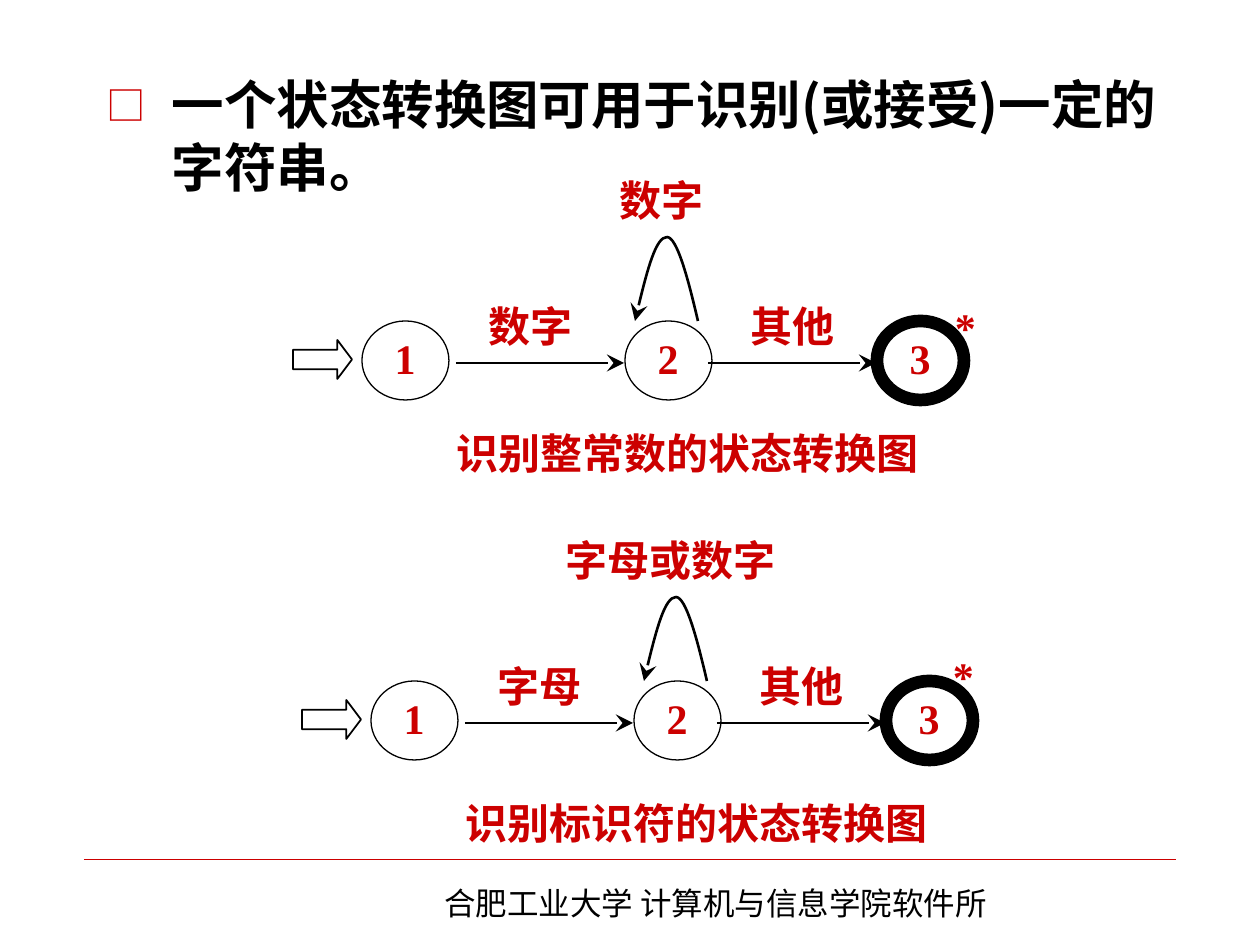
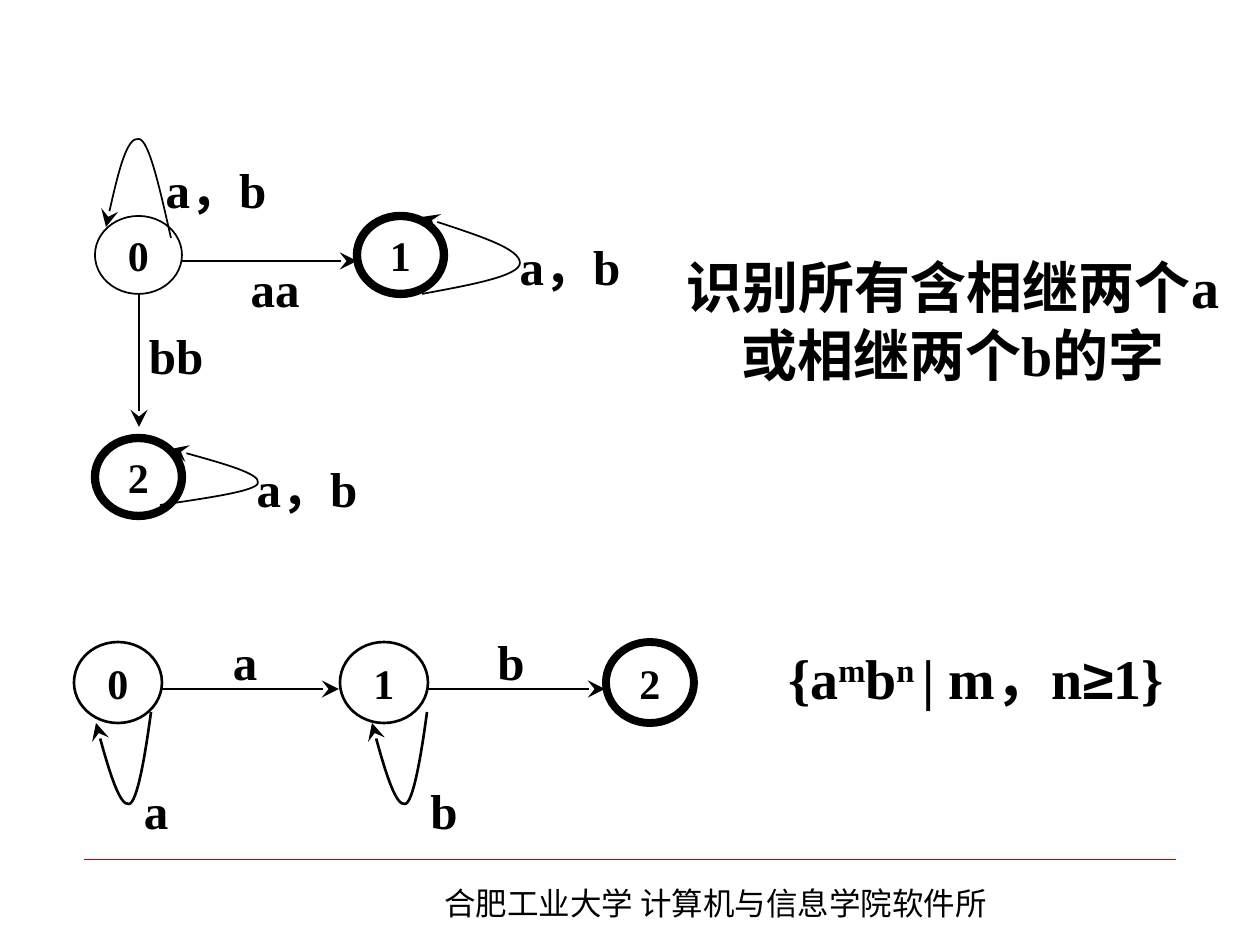
from lxml.etree import SubElement
from pptx import Presentation
from pptx.dml.color import RGBColor
from pptx.enum.shapes import MSO_CONNECTOR, MSO_SHAPE
from pptx.enum.text import MSO_ANCHOR as ANCHOR, MSO_AUTO_SIZE, PP_ALIGN as ALIGN
from pptx.oxml.ns import qn
from pptx.util import Emu, Pt

RED = RGBColor(0xCC, 0x00, 0x00)
BLACK = RGBColor(0x00, 0x00, 0x00)
SERIF = "Times New Roman"
CJK = "Noto Sans CJK SC"
SANS = "Arial"
EMU_PER_PX = 914400 / 126

FOOTER = "合肥工业大学 计算机与信息学院软件所"
FOOTER_BOX = (432, 878, 595, 50)
FOOTER_RULE = (84, 859, 1176, 859)

HEADING = "一个状态转换图可用于识别(或接受)一定的字符串。"
HEADING_BOX = (94, 66, 1112, 157)

RECOGNIZERS = [
    {"origin": (362, 321), "step": "数字", "loop": "数字", "caption_top": 95,
     "star": (567, -21),
     "caption": [("识别", SERIF), ("整常数", CJK), ("的状态转换图", SERIF)]},
    {"origin": (371, 681), "step": "字母", "loop": "字母或数字", "caption_top": 105,
     "star": (556, -32),
     "caption": [("识别标识符的状态转换图", SERIF)]},
]
RECOGNIZER_STATES = [("1", 0, 0.75), ("2", 263, 0.75), ("3", 515, 7.25)]
RECOGNIZER_LOOP = [(336, 0), (326, -43), (315, -84), (305, -84),
                   (294, -84), (283, -43), (273, 0)]

PAIR_LOOP_BOTTOM = [(151, 712), (145, 757), (137, 803), (129, 804),
                    (120, 806), (107, 765), (96, 723)]
AUTOMATA = [
    {"state_size": (87, 78), "label_size": (130, 78), "weight": 1,
     "states": [("0", 95, 216, 1), ("2", 95, 438, 4.75), ("1", 357, 216, 4.75)],
     "labels": [("a，b", 151, 150), ("aa", 210, 249), ("a，b", 505, 227),
                ("bb", 111, 316), ("a，b", 242, 449)],
     "arrows": [(181, 261, 357, 261), (139, 294, 139, 427)],
     "loops": [
         [(171, 238), (160, 189), (149, 140), (139, 139),
          (127, 136), (116, 181), (106, 227)],
         [(160, 505), (208, 498), (257, 491), (258, 483),
          (261, 474), (215, 461), (171, 449)],
         [(422, 294), (471, 285), (520, 276), (520, 263),
          (520, 249), (471, 233), (422, 217)]]},
    {"state_size": (88, 81), "label_size": (122, 81), "weight": 1.5,
     "states": [(str(i), 74 + 266 * i, 642, weight)
                for i, weight in enumerate((1.5, 1.5, 4.5))],
     "labels": [("a", 184, 620), ("b", 450, 620), ("a", 95, 769), ("b", 383, 769)],
     "arrows": [(161 + 266 * i, 689, 339 + 266 * i, 689) for i in range(2)],
     "loops": [[(x + shift, y) for x, y in PAIR_LOOP_BOTTOM] for shift in (0, 276)]},
]
DOUBLE_LETTER_BOX = (669, 252, 568, 136)
DOUBLE_LETTER_TEXT = [
    [("识别所有含相继两个", CJK), ("a", SERIF)],
    [("或相继两个", CJK), ("b", SERIF), ("的字", CJK)],
]
LANGUAGE_BOX = (745, 609, 462, 136)
LANGUAGE_TEXT = [[("{a", SERIF), ("m", SERIF, 30), ("b", SERIF), ("n ", SERIF, 30),
                  ("| m，n", SERIF), ("≥", SANS), ("1}", SERIF)]]


def px(*lengths):
    return [Emu(round(length * EMU_PER_PX)) for length in lengths]


def add_run(paragraph, text, font_name, size, color, bold=True, raised=0):
    run = paragraph.add_run()
    run.text = text
    font = run.font
    font.name, font.size, font.bold = font_name, Pt(size), bold
    font.color.rgb = color
    properties = run._r.get_or_add_rPr()
    SubElement(properties, qn("a:ea")).set("typeface", CJK)
    if raised:
        properties.set("baseline", str(raised * 1000))


def fill_text(shape, lines, size, color, align=ALIGN.CENTER, leading=None):
    frame = shape.text_frame
    frame.word_wrap = False
    frame.vertical_anchor = ANCHOR.MIDDLE
    frame.margin_left = frame.margin_right = 0
    frame.margin_top, frame.margin_bottom = px(6, 6)
    for index, runs in enumerate(lines):
        paragraph = frame.add_paragraph() if index else frame.paragraphs[0]
        paragraph.alignment = align
        if leading:
            paragraph.line_spacing = Pt(leading)
        for text, font_name, *raised in runs:
            add_run(paragraph, text, font_name, size, color, raised=sum(raised))


def add_label(slide, box, lines, size, color, leading=None):
    fill_text(slide.shapes.add_textbox(*px(*box)), lines, size, color, leading=leading)


def outline(shape, weight):
    shape.fill.background()
    shape.line.color.rgb = BLACK
    shape.line.width = Pt(weight)
    shape.shadow.inherit = False


def add_arrowhead(shape):
    head = SubElement(shape.line._get_or_add_ln(), qn("a:tailEnd"))
    for name, value in (("type", "stealth"), ("w", "lg"), ("len", "lg")):
        head.set(name, value)


def add_line(slide, ends, color, weight, arrow=True):
    line = slide.shapes.add_connector(MSO_CONNECTOR.STRAIGHT, *px(*ends))
    line.line.color.rgb = color
    line.line.width = Pt(weight)
    if arrow:
        add_arrowhead(line)
    SubElement(line._element.spPr, qn("a:effectLst"))


def add_loop(slide, points, weight):
    builder = slide.shapes.build_freeform(*points[0], scale=EMU_PER_PX)
    builder.add_line_segments(points[1:], close=False)
    loop = builder.convert_to_shape()
    segments = list(loop._element.iter(qn("a:lnTo")))
    outline_element = segments[0].getparent()
    for start in range(0, len(segments), 3):
        curve = SubElement(outline_element, qn("a:cubicBezTo"))
        for segment in segments[start:start + 3]:
            curve.append(segment[0])
            outline_element.remove(segment)
    outline(loop, weight)
    add_arrowhead(loop)


def add_state(slide, box, name, weight, color, align=ALIGN.CENTER):
    state = slide.shapes.add_shape(MSO_SHAPE.OVAL, *px(*box))
    outline(state, weight)
    fill_text(state, [[(name, SERIF)]], 24, color, align)
    return state


def add_footer(slide):
    add_line(slide, FOOTER_RULE, RED, 0.25, arrow=False)
    frame = slide.shapes.add_textbox(*px(*FOOTER_BOX)).text_frame
    frame.word_wrap = True
    paragraph = frame.paragraphs[0]
    paragraph.space_before = Pt(11.2)
    add_run(paragraph, FOOTER, CJK, 18, BLACK, bold=False)


def add_heading(slide):
    body = slide.placeholders[1]
    body.left, body.top, body.width, body.height = px(*HEADING_BOX)
    body.text_frame.auto_size = MSO_AUTO_SIZE.NONE
    paragraph = body.text_frame.paragraphs[0]
    paragraph.space_before = Pt(7.5)
    paragraph.line_spacing = Pt(36)
    properties = paragraph._p.get_or_add_pPr()
    indent = px(65)[0]
    properties.set("marL", str(indent))
    properties.set("indent", str(-indent))
    bullet_color = SubElement(properties, qn("a:buClr"))
    SubElement(bullet_color, qn("a:srgbClr")).set("val", str(RED))
    SubElement(properties, qn("a:buSzPct")).set("val", "75000")
    SubElement(properties, qn("a:buFont")).set("typeface", CJK)
    SubElement(properties, qn("a:buChar")).set("char", "□")
    add_run(paragraph, HEADING, CJK, 30, BLACK)


def add_recognizer(slide, recognizer):
    left, top = recognizer["origin"]

    def place(x, y, *size):
        return (left + x, top + y, *size)

    entry = slide.shapes.add_shape(MSO_SHAPE.RIGHT_ARROW, *px(*place(-69, 19, 59, 39)))
    entry.adjustments[1] = 0.376
    outline(entry, 1)
    for name, x, weight in RECOGNIZER_STATES:
        state = add_state(slide, place(x, 0, 87, 79), name, weight, RED, ALIGN.JUSTIFY)
        frame = state.text_frame
        frame.word_wrap = True
        frame.vertical_anchor = ANCHOR.TOP
        frame.margin_left, frame.margin_right = px(20, 20)
        frame.margin_top = frame.margin_bottom = 0
    add_loop(slide, [place(x, y) for x, y in RECOGNIZER_LOOP], 1.5)
    for x in (94, 346):
        add_line(slide, place(x, 42) + place(x + 168, 42), BLACK, 1.5)
    labels = [
        ((116, -32, 105, 73), [(recognizer["step"], SERIF)]),
        ((378, -32, 105, 73), [("其他", SERIF)]),
        ((192, -158, 215, 73), [(recognizer["loop"], SERIF)]),
        ((*recognizer["star"], 73, 53), [("*", SERIF)]),
        ((85, recognizer["caption_top"], 481, 73), recognizer["caption"]),
    ]
    for box, runs in labels:
        add_label(slide, place(*box), [runs], 24, RED)


def add_automaton(slide, automaton):
    weight = automaton["weight"]
    for name, x, y, state_weight in automaton["states"]:
        add_state(slide, (x, y, *automaton["state_size"]), name, state_weight, BLACK)
    for text, x, y in automaton["labels"]:
        add_label(slide, (x, y, *automaton["label_size"]), [[(text, SERIF)]], 28, BLACK)
    for ends in automaton["arrows"]:
        add_line(slide, ends, BLACK, weight)
    for points in automaton["loops"]:
        add_loop(slide, points, weight)


def main():
    presentation = Presentation()
    presentation.slide_width, presentation.slide_height = px(1260, 945)

    slide = presentation.slides.add_slide(presentation.slide_layouts[1])
    title = slide.shapes.title._element
    title.getparent().remove(title)
    add_footer(slide)
    add_heading(slide)
    for recognizer in RECOGNIZERS:
        add_recognizer(slide, recognizer)

    slide = presentation.slides.add_slide(presentation.slide_layouts[6])
    add_footer(slide)
    for automaton in AUTOMATA:
        add_automaton(slide, automaton)
    add_label(slide, DOUBLE_LETTER_BOX, DOUBLE_LETTER_TEXT, 32, BLACK, leading=38.5)
    add_label(slide, LANGUAGE_BOX, LANGUAGE_TEXT, 32, BLACK)

    presentation.save("out.pptx")


if __name__ == "__main__":
    main()
